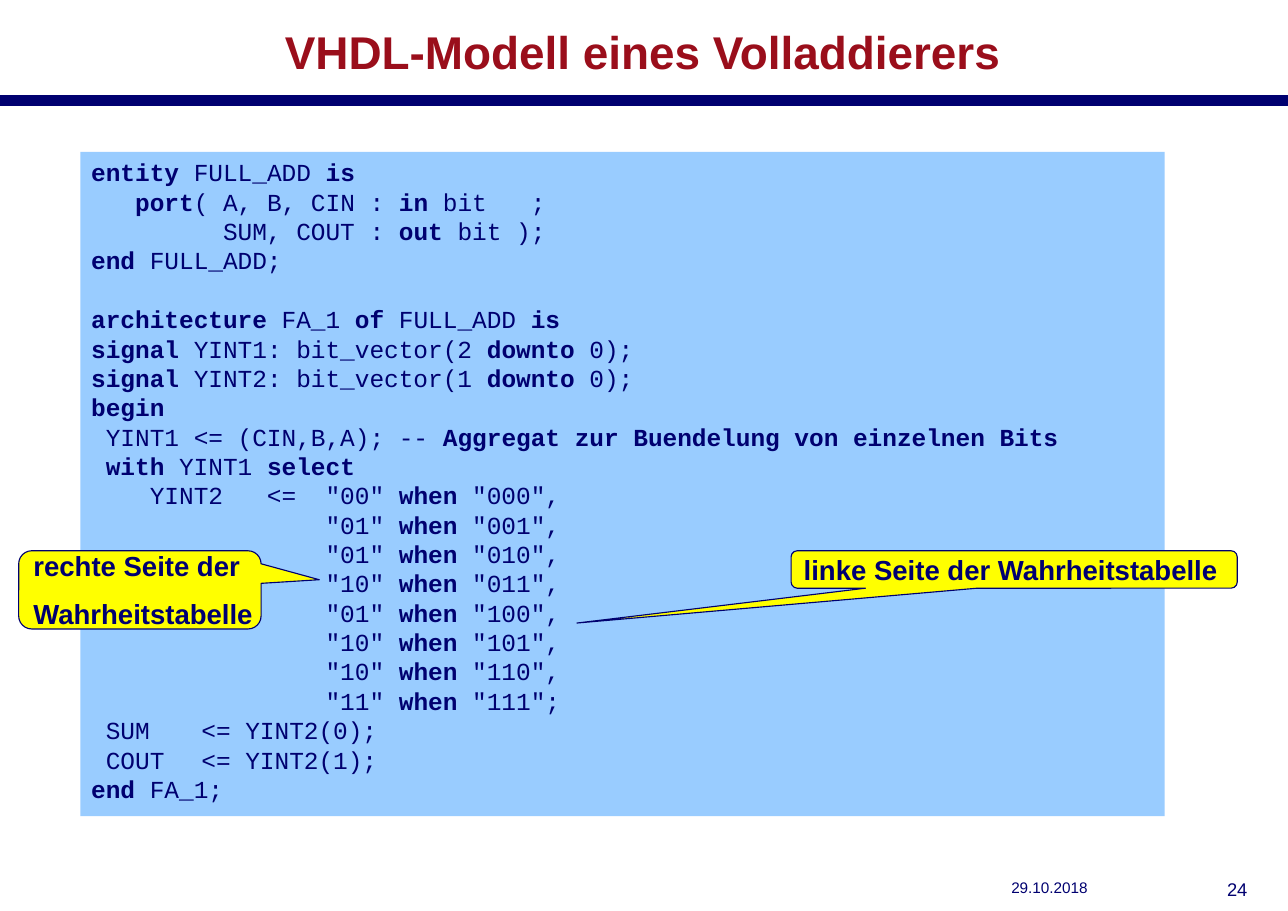
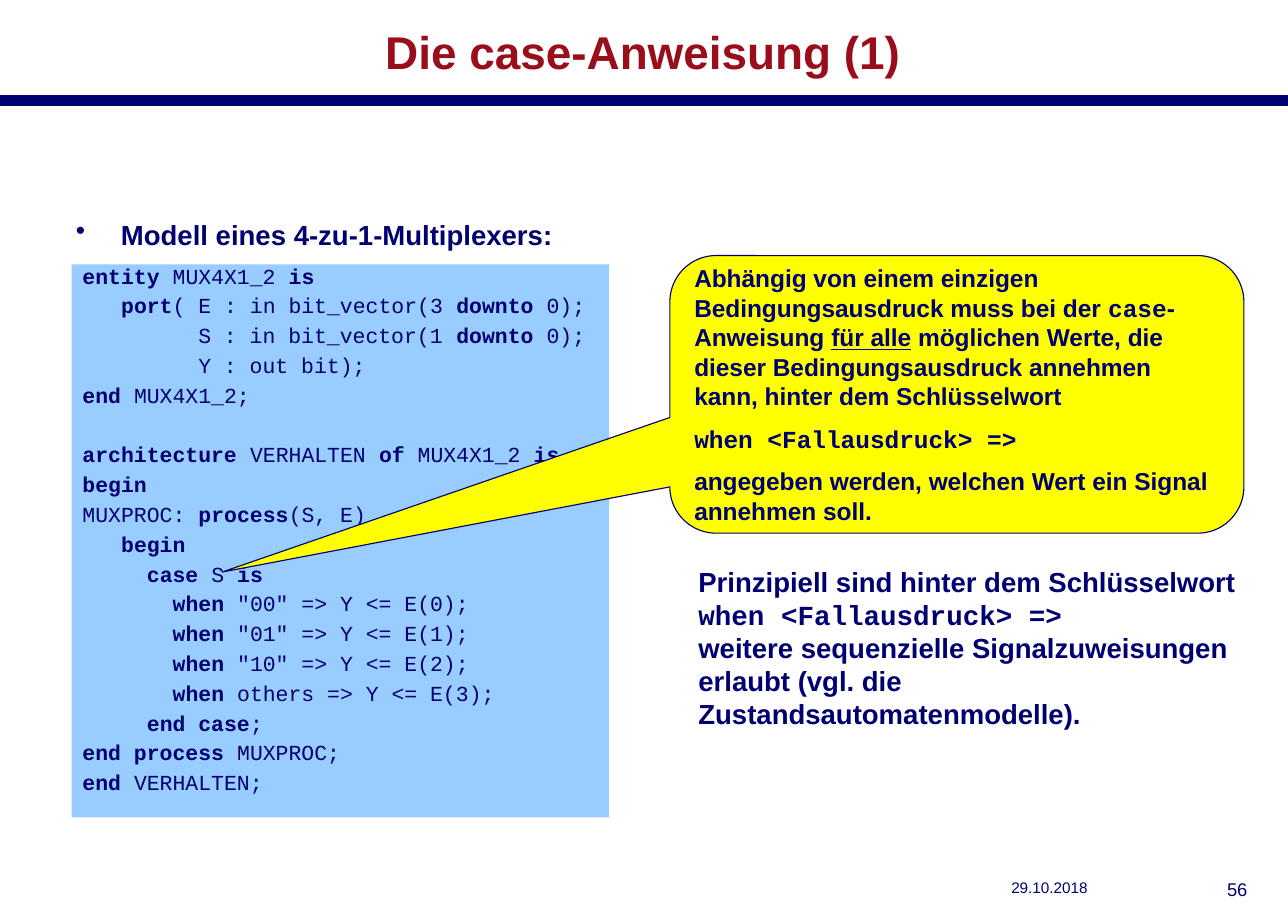
from itertools import groupby

from lxml import etree
from pptx import Presentation
from pptx import util as u
from pptx.dml.color import RGBColor
from pptx.enum import shapes, text
from pptx.oxml import ns

NAVY, RED, BLUE, YELLOW = "000070", "9A0E1B", "99CCFF", "FFFF00"
SANS, MONO = "Arial", "Courier New"
MARKS = {"*": "bold", "~": "under", "`": "mono"}
GAP = 0.55  # space between paragraphs, as a share of the type size

ADDER = """\
*entity* FULL_ADD *is*
   *port*( A, B, CIN : *in* bit   ;
         SUM, COUT : *out* bit );
*end* FULL_ADD;

*architecture* FA_1 *of* FULL_ADD *is*
*signal* YINT1: bit_vector(2 *downto* 0);
*signal* YINT2: bit_vector(1 *downto* 0);
*begin*
 YINT1 <= (CIN,B,A); -- *Aggregat zur Buendelung von einzelnen Bits*
 *with* YINT1 *select*
    YINT2   <=  "00" *when* "000",
                "01" *when* "001",
                "01" *when* "010",
                "10" *when* "011",
                "01" *when* "100",
                "10" *when* "101",
                "10" *when* "110",
                "11" *when* "111";
 SUM \t<= YINT2(0);
 COUT\t<= YINT2(1);
*end* FA_1;"""

MUX = """\
*entity* MUX4X1_2 *is*
   *port*( E : in bit_vector(3 *downto* 0);
         S : in bit_vector(1 *downto* 0);
         Y : out bit);
*end* MUX4X1_2;

*architecture* VERHALTEN *of* MUX4X1_2 *is*
*begin*
MUXPROC: *process*(S, E)
   *begin*
     *case* S *is*
       *when* "00" => Y <= E(0);
       *when* "01" => Y <= E(1);
       *when* "10" => Y <= E(2);
       *when* others => Y <= E(3);
     *end case*;
*end process* MUXPROC;
*end* VERHALTEN;"""

RULE = """\
Abhängig von einem einzigen Bedingungsausdruck muss bei der `case`-Anweisung \
~für alle~ möglichen Werte, die dieser Bedingungsausdruck annehmen kann, \
hinter dem Schlüsselwort
`when <Fallausdruck> =>`
angegeben werden, welchen Wert ein Signal annehmen soll."""

HINT = """\
Prinzipiell sind hinter dem Schlüsselwort `when <Fallausdruck> =>`
weitere sequenzielle Signalzuweisungen erlaubt (vgl. die Zustandsautomatenmodelle)."""


def rgb(code):
    return RGBColor.from_string(code)


def inches(box):
    return [u.Inches(v) for v in box]


class Deck:
    def __init__(self):
        self.prs = Presentation()
        self.prs.slide_width, self.prs.slide_height = inches((11.69, 8.27))
        self.slide = None

    def page(self, title, number):
        """Start a slide with its title, band and footer."""
        self.slide = self.prs.slides.add_slide(self.prs.slide_layouts[6])
        self.band()
        self.label((9.08, 7.92, 1.65, 0.35), "29.10.2018", 10, bold=False)
        self.label((10.87, 7.92, 0.55, 0.35), number, 12, bold=False,
                   align=text.PP_ALIGN.RIGHT)
        self.label((0.25, 0.12, 11.17, 0.68), title, 30, color=RED,
                   align=text.PP_ALIGN.CENTER, anchor=text.MSO_ANCHOR.MIDDLE)

    def band(self):
        line = self.slide.shapes.add_connector(
            shapes.MSO_CONNECTOR.STRAIGHT, *inches((0, 0.91, 11.69, 0.91)))
        line.line.color.rgb = rgb(NAVY)
        line.line.width = u.Pt(7.1)
        etree.SubElement(line._element.spPr, ns.qn("a:effectLst"))

    def fill(self, shape, words, size, font=SANS, color=NAVY, bold=True,
             align=text.PP_ALIGN.LEFT, anchor=text.MSO_ANCHOR.TOP,
             wrap=True, gap=0, lead=None, bullet=False):
        """Put words in a shape, one paragraph a line; MARKS switch run styles."""
        frame = shape.text_frame
        frame.word_wrap, frame.vertical_anchor = wrap, anchor
        for i, line in enumerate(words.split("\n")):
            para = frame.add_paragraph() if i else frame.paragraphs[0]
            para.alignment = align
            if lead:
                para.line_spacing = lead
            if i and gap:
                para.space_before = u.Pt(round(gap * size, 1))
            if bullet:
                self.bullet(para)
            para.font.name, para.font.size = font, u.Pt(size)
            para.font.bold, para.font.color.rgb = bold, rgb(color)
            self.runs(para, line)

    def runs(self, para, line):
        on = set()
        for mark, chars in groupby(line, lambda c: MARKS.get(c)):
            if mark:
                on ^= {mark}
                continue
            run = para.add_run()
            run.text = "".join(chars)
            if "bold" in on:
                run.font.bold = True
            if "under" in on:
                run.font.underline = True
            if "mono" in on:
                run.font.name = MONO

    def bullet(self, para):
        props = para._p.get_or_add_pPr()
        props.set("marL", str(u.Inches(0.41)))
        props.set("indent", str(-u.Inches(0.41)))
        etree.SubElement(props, ns.qn("a:buChar")).set("char", "•")

    def label(self, box, words, size, **style):
        self.fill(self.slide.shapes.add_textbox(*inches(box)),
                  words, size, **style)

    def shape(self, kind, box, color):
        item = self.slide.shapes.add_shape(kind, *inches(box))
        item.shadow.inherit = False
        item.fill.solid()
        item.fill.fore_color.rgb = rgb(color)
        return item

    def code(self, box, words, size, **style):
        item = self.shape(shapes.MSO_SHAPE.RECTANGLE, box, BLUE)
        item.line.fill.background()
        self.fill(item, words, size, font=MONO, bold=False, **style)

    def callout(self, box, tip, words, size, wrap=False):
        """Rounded bubble; tip is measured from its centre in box sizes."""
        item = self.shape(shapes.MSO_SHAPE.ROUNDED_RECTANGULAR_CALLOUT,
                          box, YELLOW)
        item.line.color.rgb = rgb(NAVY)
        item.line.width = u.Pt(0.75)
        item.adjustments[0], item.adjustments[1] = tip
        self.fill(item, words, size, wrap=wrap, gap=GAP,
                  anchor=text.MSO_ANCHOR.MIDDLE)


def main():
    deck = Deck()

    deck.page("VHDL-Modell eines Volladdierers", "24")
    deck.code((0.73, 1.38, 9.84, 6.03), ADDER, 16)
    deck.callout((7.18, 5, 4.05, 0.34), (-0.98, 1.43),
                 "linke Seite der Wahrheitstabelle", 18)
    deck.callout((0.17, 5, 2.2, 0.71), (0.74, -0.13),
                 "rechte Seite der\nWahrheitstabelle", 18)

    deck.page("Die case-Anweisung (1)", "56")
    deck.label((0.59, 1.93, 4.86, 0.47), "Modell eines 4-zu-1-Multiplexers:",
               18, bullet=True)
    deck.code((0.65, 2.4, 4.88, 5.02), MUX, 14, gap=GAP, lead=0.7)
    deck.callout((6.08, 2.32, 5.21, 2.52), (-1.28, 0.64), RULE, 16, wrap=True)
    deck.label((6.24, 5.08, 5.12, 1.6), HINT, 18)

    deck.prs.save("out.pptx")


if __name__ == "__main__":
    main()
